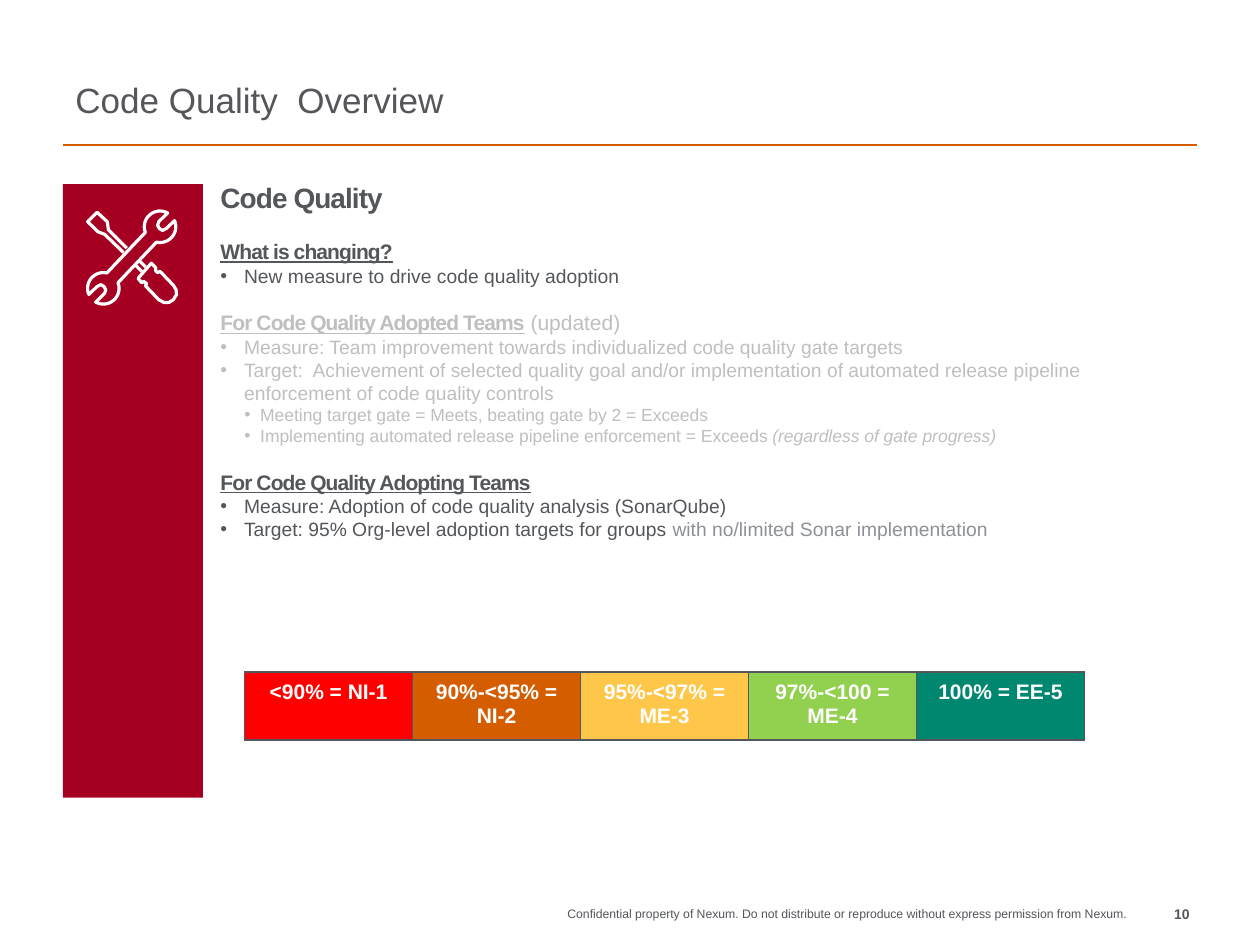
import math

import lxml.etree
import pptx
import pptx.dml.color
import pptx.enum.shapes
import pptx.enum.text
import pptx.oxml.ns
import pptx.util

Pt = pptx.util.Pt
ALIGN = pptx.enum.text.PP_ALIGN
ANCHOR = pptx.enum.text.MSO_ANCHOR
FONT = "Arial"
INK, FADED, MUTED, WHITE = "53565A", "BFBFBF", "8D9196", "FFFFFF"
ACCENT, PANEL = "D45D00", "A50021"


def rgb(hex_colour):
    return pptx.dml.color.RGBColor.from_string(hex_colour)


def add_xml(parent, tag, **attributes):
    child = lxml.etree.SubElement(parent, pptx.oxml.ns.qn(tag))
    for name, value in attributes.items():
        child.set(name, str(value))
    return child


def add_run(paragraph, text, size, colour=INK, bold=False, italic=False,
            underline=False, spacing=0):
    run = paragraph.add_run()
    run.text = text
    run.font.name = FONT
    run.font.size = Pt(size)
    run.font.bold = bold
    run.font.italic = italic
    run.font.underline = underline
    run.font.color.rgb = rgb(colour)
    if spacing:
        run.font._element.set("spc", str(round(spacing * 100)))


def add_text_frame(slide, box, side=0, end=0, anchor=ANCHOR.TOP):
    frame = slide.shapes.add_textbox(*map(Pt, box)).text_frame
    frame.word_wrap = True
    frame.vertical_anchor = anchor
    frame.margin_left = frame.margin_right = Pt(side)
    frame.margin_top = frame.margin_bottom = Pt(end)
    return frame


def add_header(slide, box):
    left, top, width, height = box
    frame = add_text_frame(slide, (left, top, 660, height), 7.2, 3.6, ANCHOR.BOTTOM)
    frame.paragraphs[0].line_spacing = 0.9
    add_run(frame.paragraphs[0], "Code Quality  Overview", 20, "55565A")

    # Rule under the title
    rule_y = top + height + 10
    rule = slide.shapes.add_connector(
        pptx.enum.shapes.MSO_CONNECTOR.STRAIGHT,
        Pt(left), Pt(rule_y), Pt(left + width), Pt(rule_y))
    rule.line.color.rgb = rgb(ACCENT)
    rule.line.width = Pt(1)
    add_xml(rule._element.spPr, "a:effectLst")


def add_outline(slide, points, closed):
    start, *rest = [(Pt(x), Pt(y)) for x, y in points]
    builder = slide.shapes.build_freeform(*start)
    builder.add_line_segments(rest, close=closed)
    outline = builder.convert_to_shape()
    outline.shadow.inherit = False
    outline.fill.background()
    outline.line.color.rgb = rgb(WHITE)
    outline.line.width = Pt(1.8)


def arc(centre, radius, start, end):
    steps = 16
    angles = [math.radians(start + (end - start) * i / steps) for i in range(steps + 1)]
    return [(centre[0] + radius * math.cos(a), centre[1] + radius * math.sin(a))
            for a in angles]


def add_tools_icon(slide, centre):
    # Wrench: one jaw, then the same jaw turned half a circle
    jaw_centre, jaw_radius = (16.2, -17.6), 9
    notch = [(15.5, -20.5), (14.8, -18.4), (15.8, -16.6), (17.6, -15.5), (19.8, -16.6)]
    jaw = (arc(jaw_centre, jaw_radius, 159, 299) + notch
           + arc(jaw_centre, jaw_radius, -23, 103))
    wrench = jaw + [(-x, -y) for x, y in jaw]

    # Screwdriver: blade, two shaft edges and handle
    blade = [(-2.9, -5.4), (-13.3, -15.8), (-14, -20.5), (-19.8, -25.9),
             (-25.2, -20.5), (-19.4, -14.8), (-15.5, -13.3), (-4.7, -2.9)]
    shaft_edges = [[(4.7, 2.2), (7.9, 5.4)], [(2.2, 4.3), (5.8, 7.9)]]
    handle = [(3.6, 11.9), (11.2, 3.2), (13.7, 5.8), (13.7, 7.6), (14.8, 8.6),
              (16.2, 7.9), (23.8, 15.8), (25.4, 18.4), (25.6, 21.2), (23.8, 24.1),
              (21.4, 25.6), (18.5, 25.7), (15.5, 24.1), (7.9, 16.2), (8.6, 14.8),
              (6.8, 13.7), (5.8, 14.4)]

    parts = [(wrench, True), (handle, True), (blade, False)]
    parts += [(edge, False) for edge in shaft_edges]
    for points, closed in parts:
        add_outline(slide, [(centre[0] + x, centre[1] + y) for x, y in points], closed)


def add_side_panel(slide, box):
    left, top, width, height = box
    panel = slide.shapes.add_shape(
        pptx.enum.shapes.MSO_SHAPE.RECTANGLE, *map(Pt, box))
    panel.shadow.inherit = False
    panel.fill.solid()
    panel.fill.fore_color.rgb = rgb(PANEL)
    panel.line.fill.background()
    add_tools_icon(slide, (left + width / 2 - 0.7, top + 42))


def add_overview(slide, box):
    heading = dict(size=12, bold=True, spacing=-0.5)
    ruled = dict(heading, underline=True)
    item, faded_item = dict(size=11), dict(size=11, colour=FADED)
    faded_detail = dict(size=10, colour=FADED)
    indents = {1: (13.5, 13.5), 2: (22.7, 9)}  # left margin, hang

    # Bullet level, space before, runs
    lines = [
        (0, 0, [("Code Quality", dict(heading, size=16))]),
        (0, 14, [("What is changing?", ruled)]),
        (1, 0, [("New measure to drive code quality adoption", item)]),
        (0, 13, [("For Code Quality Adopted Teams", dict(ruled, colour=FADED)),
                 (" ", dict(heading, colour=FADED)),
                 ("(updated)", dict(size=12, colour=FADED))]),
        (1, 0, [("Measure: Team improvement towards individualized code quality "
                 "gate targets", faded_item)]),
        (1, 0, [("Target:  Achievement of selected quality goal and/or implementation "
                 "of automated release pipeline enforcement of code quality controls",
                 faded_item)]),
        (2, 0, [("Meeting target gate = Meets, beating gate by 2 = Exceeds",
                 faded_detail)]),
        (2, 0, [("Implementing automated release pipeline enforcement = Exceeds ",
                 faded_detail),
                ("(regardless of gate progress)", dict(faded_detail, italic=True))]),
        (0, 13, [("For Code Quality Adopting Teams", ruled)]),
        (1, 0, [("Measure: Adoption of code quality analysis (SonarQube)", item)]),
        (1, 0, [("Target: 95% Org-level adoption targets for groups ", item),
                ("with no/limited Sonar implementation", dict(item, colour=MUTED))]),
    ]
    frame = add_text_frame(slide, box, side=10)
    for index, (level, space, runs) in enumerate(lines):
        paragraph = frame.add_paragraph() if index else frame.paragraphs[0]
        if index == 0:
            paragraph.line_spacing = 0.9
        if space:
            paragraph.space_before = Pt(space)
        if level:
            margin, hang = indents[level]
            properties = paragraph._p.get_or_add_pPr()
            properties.set("marL", str(Pt(margin)))
            properties.set("indent", str(-Pt(hang)))
            add_xml(properties, "a:buFont", typeface=FONT)
            add_xml(properties, "a:buChar", char="•")
            paragraph.level = level - 1
        for text, style in runs:
            add_run(paragraph, text, **style)


def add_rating_scale(slide, box):
    ratings = [("<90% = NI-1", "FF0000"), ("90%-<95% = NI-2", ACCENT),
               ("95%-<97% = ME-3", "FFC74A"), ("97%-<100 = ME-4", "92D050"),
               ("100% = EE-5", "008770")]
    scale = slide.shapes.add_table(1, len(ratings), *map(Pt, box)).table
    scale.first_row = scale.horz_banding = False
    for cell, (rating, colour) in zip(scale.rows[0].cells, ratings):
        cell.margin_left = cell.margin_right = Pt(7.2)
        cell.margin_top = cell.margin_bottom = Pt(5)
        paragraph = cell.text_frame.paragraphs[0]
        paragraph.alignment = ALIGN.CENTER
        add_run(paragraph, rating, 12, WHITE, bold=True)
        # Borders come before the fill in the cell properties
        properties = cell._tc.get_or_add_tcPr()
        for side in ("a:lnL", "a:lnR", "a:lnT", "a:lnB"):
            border = add_xml(properties, side, w=Pt(1))
            add_xml(add_xml(border, "a:solidFill"), "a:srgbClr", val=INK)
        cell.fill.solid()
        cell.fill.fore_color.rgb = rgb(colour)


def add_footer(slide, box):
    left, top, width, height = box
    number_width = 36
    notice_width = width - number_width
    notice = ("Confidential property of Nexum. Do not distribute or reproduce "
              "without express permission from Nexum.")
    for x, part_width, text, size, bold in (
            (left, notice_width, notice, 7, False),
            (left + notice_width, number_width, "10", 8, True)):
        frame = add_text_frame(slide, (x, top, part_width, height))
        frame.paragraphs[0].alignment = ALIGN.RIGHT
        add_run(frame.paragraphs[0], text, size, bold=bold)


def main():
    deck = pptx.Presentation()
    deck.slide_width, deck.slide_height = Pt(720), Pt(540)
    slide = deck.slides.add_slide(deck.slide_layouts[6])
    add_header(slide, (36, 23.8, 648, 49))
    add_overview(slide, (116, 105.2, 571, 350.6))
    add_side_panel(slide, (36, 105.2, 80, 350.6))
    add_rating_scale(slide, (139.8, 384, 480, 38.4))
    add_footer(slide, (260.6, 517.7, 419.2, 16.6))
    deck.save("out.pptx")


if __name__ == "__main__":
    main()
